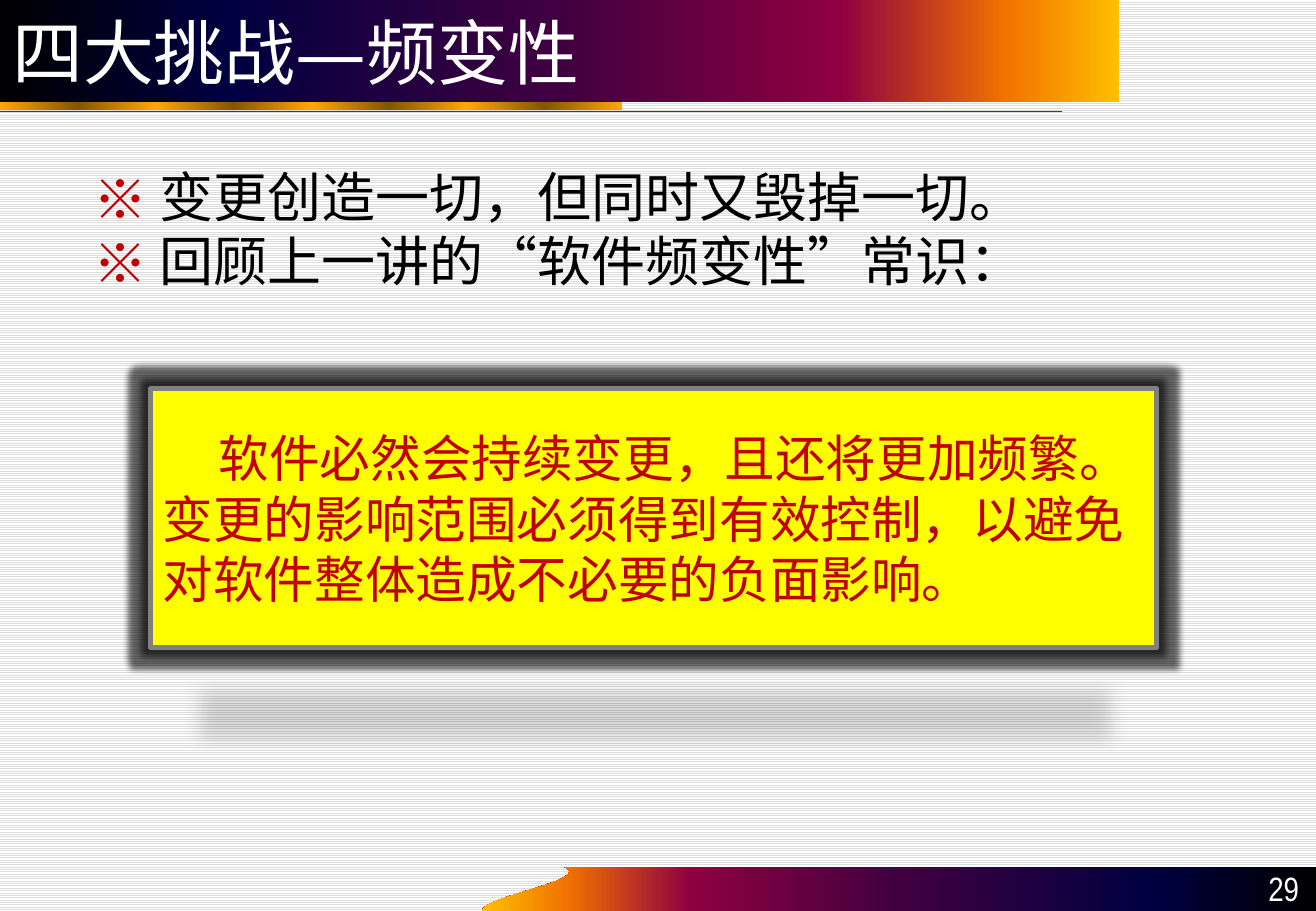
from dataclasses import dataclass
from typing import NamedTuple

from lxml import etree
from pptx import Presentation
from pptx.dml.color import RGBColor
from pptx.enum.dml import MSO_PATTERN
from pptx.enum.shapes import MSO_CONNECTOR, MSO_SHAPE
from pptx.enum.text import MSO_ANCHOR, PP_ALIGN
from pptx.oxml import parse_xml
from pptx.oxml.ns import nsdecls, qn
from pptx.util import Inches, Pt


class Box(NamedTuple):
    left: float
    top: float
    width: float
    height: float


class TextStyle(NamedTuple):
    size: float
    font: str
    color: str


class Stop(NamedTuple):
    position: float
    color: str


@dataclass(frozen=True)
class Theme:
    white: str = "FFFFFF"
    stripe: str = "DDDDDD"
    red: str = "CC0000"
    bullet: str = "C00000"
    yellow: str = "FFFF00"
    frame: str = "808080"
    black: str = "000000"
    title: TextStyle = TextStyle(42, "DejaVu Sans", "FFFFFF")
    body: TextStyle = TextStyle(32, "Noto Sans CJK SC", "000000")
    callout: TextStyle = TextStyle(30, "DejaVu Sans", "C00000")
    number: TextStyle = TextStyle(20, "Arial Narrow", "FFFFFF")
    sunset: tuple = (Stop(0, "000000"), Stop(20, "000040"), Stop(50, "400040"),
                     Stop(75, "8F0040"), Stop(90, "F27300"), Stop(100, "FFBF00"))
    gold: tuple = tuple(Stop(12.5 * step, "825600" if step % 2 else "FFA800")
                        for step in range(9))


THEME = Theme()
WIDTH, HEIGHT = 10.83, 7.5
BULLETS = ("变更创造一切，但同时又毁掉一切。", "回顾上一讲的“软件频变性”常识：")
CALLOUT = ("软件必然会持续变更，且还将更加频繁。 "
           "变更的影响范围必须得到有效控制，以避免对软件整体造成不必要的负面影响。")


def rgb(color: str) -> RGBColor:
    return RGBColor.from_string(color)


def inches(box: Box) -> list:
    return [Inches(value) for value in box]


def place(shape, box: Box) -> None:
    for name, value in zip(Box._fields, inches(box)):
        setattr(shape, name, value)


def fill_gradient(shape, stops: tuple, angle: int = 0) -> None:
    shape.fill.gradient()
    shape.fill.gradient_angle = angle
    stop_list = shape._element.spPr.find(qn("a:gradFill")).find(qn("a:gsLst"))
    for old in list(stop_list):
        stop_list.remove(old)
    for stop in stops:
        node = etree.SubElement(stop_list, qn("a:gs"), pos=str(int(stop.position * 1000)))
        etree.SubElement(node, qn("a:srgbClr"), val=stop.color)


def format_frame(shape, anchor: MSO_ANCHOR):
    frame = shape.text_frame
    settings = dict(word_wrap=True, vertical_anchor=anchor,
                    margin_left=Inches(0.1), margin_right=Inches(0.1),
                    margin_top=Inches(0.05), margin_bottom=Inches(0.05))
    for name, value in settings.items():
        setattr(frame, name, value)
    return frame


def write(paragraph, text: str, style: TextStyle, align=PP_ALIGN.LEFT) -> None:
    paragraph.alignment = align
    run = paragraph.add_run()
    run.text = text
    for name, value in dict(size=Pt(style.size), name=style.font, bold=False).items():
        setattr(run.font, name, value)
    run.font.color.rgb = rgb(style.color)
    etree.SubElement(run.font._element, qn("a:ea"), typeface=style.font)


def add_bullet(paragraph) -> None:
    properties = paragraph._p.get_or_add_pPr()
    properties.set("marL", str(Inches(0.54)))
    properties.set("indent", str(-Inches(0.54)))
    color = etree.SubElement(properties, qn("a:buClr"))
    etree.SubElement(color, qn("a:srgbClr"), val=THEME.bullet)
    etree.SubElement(properties, qn("a:buFont"), typeface=THEME.body.font)
    etree.SubElement(properties, qn("a:buChar"), char="※")


def add_background(slide) -> None:
    fill = slide.background.fill
    fill.patterned()
    fill.pattern = MSO_PATTERN.LIGHT_HORIZONTAL
    fill.fore_color.rgb = rgb(THEME.stripe)
    fill.back_color.rgb = rgb(THEME.white)


def add_footer_wave(slide) -> None:
    curve = ((3.97, 7.5), (3.97, 7.38), (4.87, 7.25), (4.65, 7.14))
    points = []
    for step in range(25):
        t = step / 24
        weights = ((1 - t) ** 3, 3 * t * (1 - t) ** 2, 3 * t * t * (1 - t), t ** 3)
        points.append([Inches(sum(w * point[axis] for w, point in zip(weights, curve)))
                       for axis in (0, 1)])
    points += [(Inches(WIDTH), Inches(7.14)), (Inches(WIDTH), Inches(HEIGHT))]
    builder = slide.shapes.build_freeform(*points[0])
    builder.add_line_segments(points[1:], close=True)
    wave = builder.convert_to_shape()
    wave.shadow.inherit = False
    wave.line.fill.background()
    fill_gradient(wave, THEME.sunset, 180)


def add_title_rule(slide) -> None:
    strip = slide.shapes.add_shape(MSO_SHAPE.RECTANGLE, *inches(Box(0, 0.76, 5.12, 0.15)))
    strip.shadow.inherit = False
    strip.line.fill.background()
    fill_gradient(strip, THEME.gold)
    rule = slide.shapes.add_connector(MSO_CONNECTOR.STRAIGHT, Inches(0), Inches(0.92),
                                      Inches(8.74), Inches(0.92))
    rule.line.color.rgb = rgb(THEME.red)
    rule.line.width = Pt(0.75)
    etree.SubElement(rule._element.spPr, qn("a:effectLst"))


def add_callout(slide) -> None:
    callout = slide.shapes.add_shape(MSO_SHAPE.RECTANGLE, *inches(Box(1.24, 3.2, 8.28, 2.13)))
    callout.fill.solid()
    callout.fill.fore_color.rgb = rgb(THEME.yellow)
    callout.line.color.rgb = rgb(THEME.frame)
    callout.line.width = Pt(3)
    # Dark glow around the frame and a flattened shadow below it
    callout._element.spPr.append(parse_xml(
        f'<a:effectLst {nsdecls("a")}><a:glow rad="{Pt(8)}"><a:srgbClr val="{THEME.black}">'
        f'<a:alpha val="60000"/></a:srgbClr></a:glow><a:outerShdw blurRad="{Pt(12)}" '
        f'dist="{Pt(25)}" dir="5400000" sx="90000" sy="-19000" rotWithShape="0">'
        f'<a:srgbClr val="{THEME.black}"><a:alpha val="15000"/></a:srgbClr>'
        '</a:outerShdw></a:effectLst>'))
    paragraph = format_frame(callout, MSO_ANCHOR.MIDDLE).paragraphs[0]
    paragraph._p.get_or_add_pPr().set("indent", str(Inches(0.46)))
    write(paragraph, CALLOUT, THEME.callout)


def main() -> None:
    presentation = Presentation()
    presentation.slide_width, presentation.slide_height = Inches(WIDTH), Inches(HEIGHT)
    slide = presentation.slides.add_slide(presentation.slide_layouts[1])
    title, body = slide.placeholders
    add_background(slide)
    add_footer_wave(slide)
    add_title_rule(slide)

    # Title banner, moved in front of the gold strip
    place(title, Box(0, 0, 9.21, 0.84))
    fill_gradient(title, THEME.sunset)
    write(format_frame(title, MSO_ANCHOR.MIDDLE).paragraphs[0], "四大挑战—频变性", THEME.title)
    slide.shapes._spTree.append(title._element)

    # Bulleted list
    place(body, Box(0.67, 1.39, 9.48, 1.42))
    frame = format_frame(body, MSO_ANCHOR.TOP)
    for index, text in enumerate(BULLETS):
        paragraph = frame.paragraphs[0] if index == 0 else frame.add_paragraph()
        add_bullet(paragraph)
        paragraph.line_spacing = 0.82
        paragraph.space_before = Pt(6.4 if index else 0)
        write(paragraph, text, THEME.body)

    # Slide number and callout
    number = slide.shapes.add_textbox(*inches(Box(9.83, 7.13, 0.96, 0.4)))
    write(format_frame(number, MSO_ANCHOR.BOTTOM).paragraphs[0], "29", THEME.number,
          PP_ALIGN.RIGHT)
    add_callout(slide)
    presentation.save("out.pptx")


if __name__ == "__main__":
    main()
